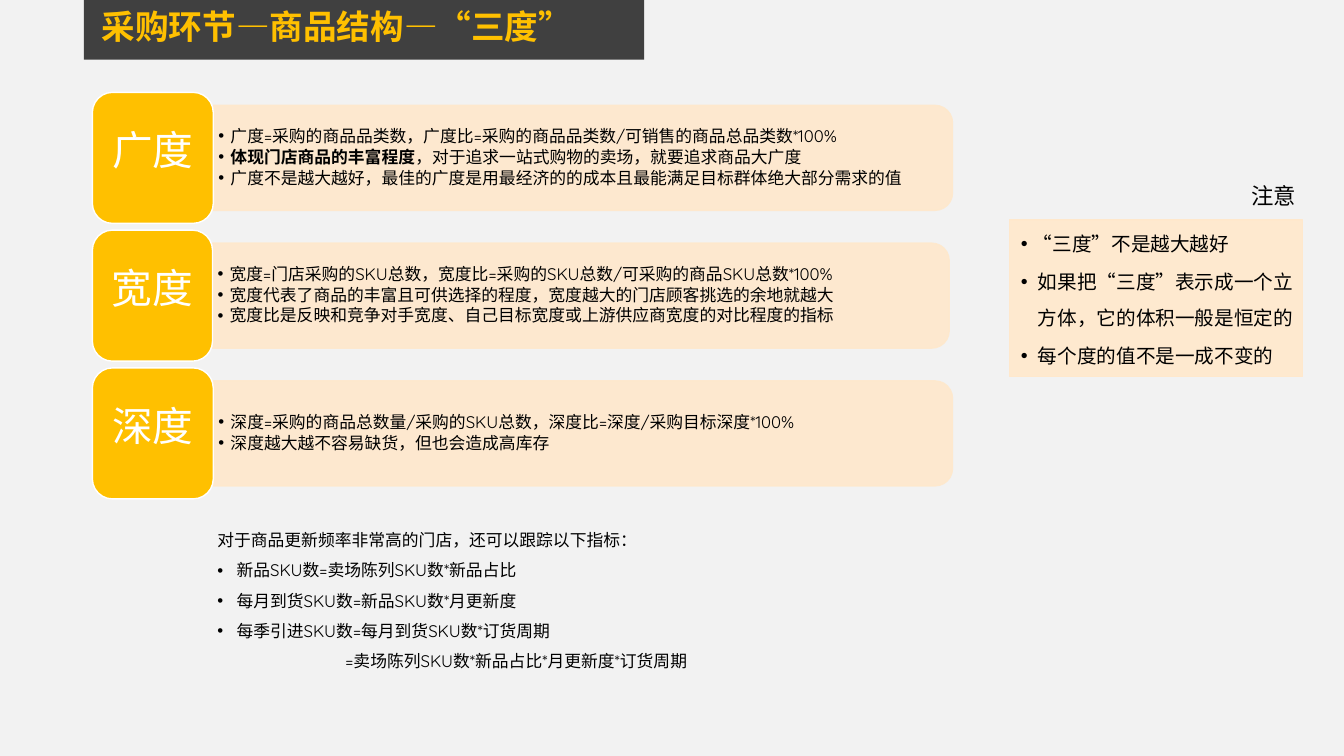
import dataclasses

import pptx
import pptx.dml.color
import pptx.enum.shapes
import pptx.enum.text
import pptx.util
from lxml import etree
from pptx.oxml import ns

RGB = pptx.dml.color.RGBColor
SHAPE = pptx.enum.shapes.MSO_SHAPE
ALIGN = pptx.enum.text.PP_ALIGN
ANCHOR = pptx.enum.text.MSO_ANCHOR
Inches = pptx.util.Inches
Pt = pptx.util.Pt

GREY = RGB(0xF2, 0xF2, 0xF2)
DARK = RGB(0x40, 0x40, 0x40)
GOLD = RGB(0xFF, 0xC0, 0x00)
PEACH = RGB(0xFF, 0xE8, 0xCC)
NOTE_PEACH = RGB(0xFE, 0xE9, 0xCF)
WHITE = RGB(0xFF, 0xFF, 0xFF)
BLACK = RGB(0x00, 0x00, 0x00)
FONT = "Quicksand"

# The slide is a grid of 160 columns by 90 rows of square cells
CELL = 13.333 / 160


@dataclasses.dataclass(frozen=True)
class Box:
    """A place on the grid, in columns and rows."""
    col: float
    row: float
    cols: float
    rows: float

    def emu(self) -> tuple:
        return tuple(Inches(n * CELL) for n in (self.col, self.row, self.cols, self.rows))

    def turned(self) -> "Box":
        """The unrotated box that covers this one after a quarter turn."""
        shift = (self.cols - self.rows) / 2
        return Box(self.col + shift, self.row - shift, self.rows, self.cols)


@dataclasses.dataclass(frozen=True)
class Line:
    """One paragraph; lead is a bold opening, indent and hang are inches."""
    text: str
    lead: str = ""
    indent: float = 0
    hang: float = 0


@dataclasses.dataclass(frozen=True)
class Style:
    size: float
    color: RGB = BLACK
    spacing: float = 1.0
    after: float = 0
    align: ALIGN = ALIGN.LEFT
    bold: bool = False


@dataclasses.dataclass(frozen=True)
class Degree:
    name: str
    lines: tuple
    panel_cols: float = 88
    tile_cols: float = 14.4


def bullet(text: str, lead: str = "", hang: float = 0.12) -> Line:
    return Line(text, lead, hang, hang)


DEGREES = (
    Degree("广度", (
        bullet("广度=采购的商品品类数，广度比=采购的商品品类数/可销售的商品总品类数*100%"),
        bullet("，对于追求一站式购物的卖场，就要追求商品大广度", "体现门店商品的丰富程度"),
        bullet("广度不是越大越好，最佳的广度是用最经济的的成本且最能满足目标群体绝大部分需求的值"))),
    Degree("宽度", (
        bullet("宽度=门店采购的SKU总数，宽度比=采购的SKU总数/可采购的商品SKU总数*100%"),
        bullet("宽度代表了商品的丰富且可供选择的程度，宽度越大的门店顾客挑选的余地就越大"),
        bullet("宽度比是反映和竞争对手宽度、自己目标宽度或上游供应商宽度的对比程度的指标")),
        87.7, 14.3),
    Degree("深度", (
        bullet("深度=采购的商品总数量/采购的SKU总数，深度比=深度/采购目标深度*100%"),
        bullet("深度越大越不容易缺货，但也会造成高库存"))),
)
METRICS = (
    Line("对于商品更新频率非常高的门店，还可以跟踪以下指标："),
    bullet("新品SKU数=卖场陈列SKU数*新品占比", hang=0.19),
    bullet("每月到货SKU数=新品SKU数*月更新度", hang=0.19),
    bullet("每季引进SKU数=每月到货SKU数*订货周期", hang=0.19),
    Line("=卖场陈列SKU数*新品占比*月更新度*订货周期", indent=1.27),
)
NOTES = (
    bullet("“三度”不是越大越好"),
    bullet("如果把“三度”表示成一个立方体，它的体积一般是恒定的", hang=0.17),
    bullet("每个度的值不是一成不变的", hang=0.17),
)


def write(shape, lines: tuple, style: Style, insets: tuple, anchor: ANCHOR,
          wrap: bool = True) -> None:
    """Fill a shape with paragraphs; insets are left, top, right, bottom."""
    frame = shape.text_frame
    frame.auto_size = pptx.enum.text.MSO_AUTO_SIZE.NONE
    frame.word_wrap = wrap
    frame.vertical_anchor = anchor
    (frame.margin_left, frame.margin_top,
     frame.margin_right, frame.margin_bottom) = map(Inches, insets)
    for number, line in enumerate(lines):
        paragraph = frame.add_paragraph() if number else frame.paragraphs[0]
        paragraph.alignment = style.align
        paragraph.line_spacing = style.spacing
        paragraph.space_before = Pt(0)
        paragraph.space_after = Pt(style.after)
        properties = paragraph._p.get_or_add_pPr()
        properties.set("marL", str(Inches(line.indent)))
        properties.set("indent", str(-Inches(line.hang)))
        if line.hang:
            etree.SubElement(properties, ns.qn("a:buFont"), typeface="Arial")
            etree.SubElement(properties, ns.qn("a:buChar"), char="•")
        font = paragraph.font
        font.name, font.size, font.bold = FONT, Pt(style.size), style.bold
        font.color.rgb = style.color
        if line.lead:
            lead = paragraph.add_run()
            lead.text = line.lead
            lead.font.bold = True
        paragraph.add_run().text = line.text


def draw(slide, kind: SHAPE, box: Box, fill: RGB, outline: RGB | None = None):
    shape = slide.shapes.add_shape(kind, *box.emu())
    shape.shadow.inherit = False
    shape.fill.solid()
    shape.fill.fore_color.rgb = fill
    if outline is None:
        shape.line.fill.background()
    else:
        shape.line.color.rgb = outline
        shape.line.width = Pt(1)
    return shape


def draw_degree(slide, degree: Degree, row: float) -> None:
    """A gold name tile with its peach panel of explanations."""
    tile = Box(11, row, degree.tile_cols, 15.6)
    panel_box = Box(tile.col + tile.cols, row + 1.55, degree.panel_cols, 12.5)
    panel = draw(slide, SHAPE.ROUND_2_SAME_RECTANGLE, panel_box.turned(), PEACH, PEACH)
    panel.rotation = 90
    for color in panel._element.spPr.iter(ns.qn("a:srgbClr")):
        etree.SubElement(color, ns.qn("a:alpha"), val="90000")
    explanation = slide.shapes.add_textbox(
        *Box(panel_box.col, row + 2.15, panel_box.cols - 0.6, 11.3).emu())
    write(explanation, degree.lines, Style(12, spacing=0.9, after=1.8),
          (0.05, 0.03, 0.05, 0.03), ANCHOR.MIDDLE)
    name = draw(slide, SHAPE.ROUNDED_RECTANGLE, tile, GOLD, WHITE)
    write(name, (Line(degree.name),), Style(29, WHITE, 0.9, align=ALIGN.CENTER),
          (0, 0, 0, 0.1), ANCHOR.MIDDLE)


def main() -> None:
    deck = pptx.Presentation()
    deck.slide_width, deck.slide_height = Inches(160 * CELL), Inches(90 * CELL)
    slide = deck.slides.add_slide(deck.slide_layouts[5])
    slide.background.fill.solid()
    slide.background.fill.fore_color.rgb = GREY

    # Title on its dark bar, with the bar sent behind
    bar = draw(slide, SHAPE.RECTANGLE, Box(10, 0, 66.7, 7.1), DARK)
    title = slide.shapes.title
    bar._element.getparent().insert(2, bar._element)
    title.left, title.top, title.width, title.height = Box(10.9, 0.7, 67.1, 6).emu()
    write(title, (Line("采购环节—商品结构—“三度”"),), Style(24, GOLD, 0.9, bold=True),
          (0.1, 0.05, 0.1, 0.05), ANCHOR.TOP)

    # The three degrees
    for number, degree in enumerate(DEGREES):
        draw_degree(slide, degree, 11 + 16.4 * number)

    # Further metrics
    metrics = slide.shapes.add_textbox(*Box(24.7, 61.3, 76, 19.4).emu())
    write(metrics, METRICS, Style(12, spacing=1.5), (0.1, 0.05, 0.1, 0.05), ANCHOR.TOP)

    # Notes panel and its heading
    notes = draw(slide, SHAPE.RECTANGLE, Box(120.2, 26.2, 34.9, 18.6), NOTE_PEACH, PEACH)
    write(notes, NOTES, Style(14, spacing=1.5, after=2.1), (0.11, 0, 0, 0.09), ANCHOR.MIDDLE)
    heading = slide.shapes.add_textbox(*Box(147.8, 21.1, 7.8, 4.4).emu())
    write(heading, (Line("注意"),), Style(16), (0.1, 0.05, 0.1, 0.05), ANCHOR.TOP, wrap=False)

    deck.save("out.pptx")


if __name__ == "__main__":
    main()
